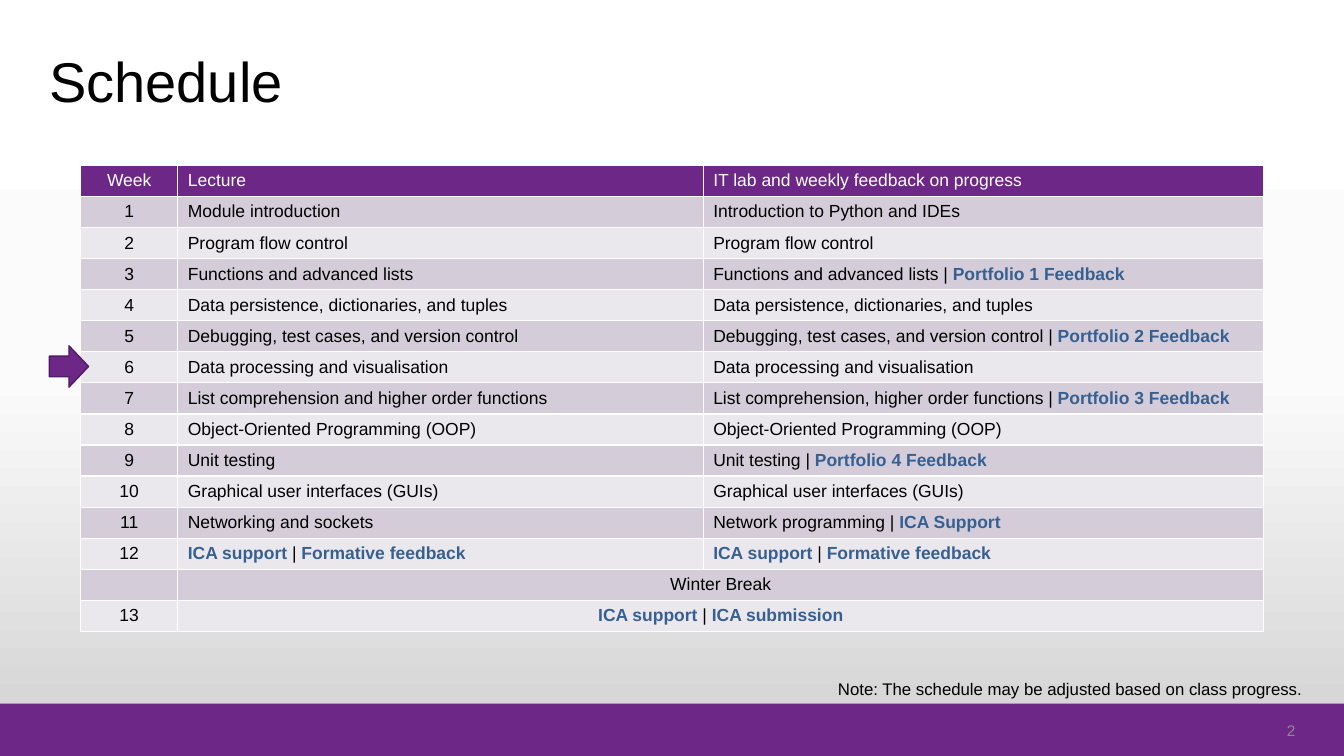
"""Build the module schedule slide, with text between asterisks in bold blue."""
from copy import deepcopy

from lxml import etree
from pptx import Presentation
from pptx.dml.color import RGBColor
from pptx.enum.shapes import MSO_SHAPE
from pptx.enum.text import MSO_ANCHOR, PP_ALIGN
from pptx.oxml.ns import qn
from pptx.util import Pt

RECT, ARROW = MSO_SHAPE.RECTANGLE, MSO_SHAPE.RIGHT_ARROW
MIDDLE = MSO_ANCHOR.MIDDLE
LEFT, CENTER, RIGHT = PP_ALIGN.LEFT, PP_ALIGN.CENTER, PP_ALIGN.RIGHT
PURPLE = RGBColor(0x6C, 0x27, 0x87)
EDGE = RGBColor(0x50, 0x1D, 0x64)
DARK = RGBColor(0xD4, 0xCD, 0xD9)
LIGHT = RGBColor(0xEB, 0xE8, 0xED)
BLUE = RGBColor(0x37, 0x60, 0x92)
GRAY = RGBColor(0x8C, 0x8C, 0x8C)
WHITE = RGBColor(0xFF, 0xFF, 0xFF)
BLACK = RGBColor(0, 0, 0)
FADE = [(0, WHITE), (0.5, RGBColor(0xFB, 0xFB, 0xFB)), (1, RGBColor(0xD1, 0xD1, 0xD1))]

ROWS = [
    ("Week", "Lecture", "IT lab and weekly feedback on progress"),
    ("1", "Module introduction", "Introduction to Python and IDEs"),
    ("2", "Program flow control", "Program flow control"),
    ("3", "Functions and advanced lists",
     "Functions and advanced lists | *Portfolio 1 Feedback*"),
    ("4", "Data persistence, dictionaries, and tuples",
     "Data persistence, dictionaries, and tuples"),
    ("5", "Debugging, test cases, and version control",
     "Debugging, test cases, and version control | *Portfolio 2 Feedback*"),
    ("6", "Data processing and visualisation", "Data processing and visualisation"),
    ("7", "List comprehension and higher order functions",
     "List comprehension, higher order functions | *Portfolio 3 Feedback*"),
    ("8", "Object-Oriented Programming (OOP)", "Object-Oriented Programming (OOP)"),
    ("9", "Unit testing", "Unit testing | *Portfolio 4 Feedback*"),
    ("10", "Graphical user interfaces (GUIs)", "Graphical user interfaces (GUIs)"),
    ("11", "Networking and sockets", "Network programming | *ICA Support*"),
    ("12", "*ICA support *|* Formative feedback*", "*ICA support *|* Formative feedback*"),
    ("", "Winter Break"),
    ("13", "*ICA support *| *ICA submission*"),
]


def write(frame, text, size, color, align=LEFT):
    para = frame.paragraphs[0]
    para.alignment = align
    font = para.font
    font.name, font.size, font.bold = "Arial", Pt(size), False
    font.color.rgb = color
    for i, part in enumerate(text.split("*")):
        if part:
            run = para.add_run()
            run.text = part
            if i % 2:
                run.font.bold = True
                run.font.color.rgb = BLUE


def border(cell):
    props = cell._tc.get_or_add_tcPr()
    for i, side in enumerate(("a:lnL", "a:lnR", "a:lnT", "a:lnB")):
        line = etree.Element(qn(side), w=str(Pt(1)))
        fill = etree.SubElement(line, qn("a:solidFill"))
        etree.SubElement(fill, qn("a:srgbClr"), val=str(WHITE))
        props.insert(i, line)


deck = Presentation()
deck.slide_width, deck.slide_height = Pt(960), Pt(540)
slide = deck.slides.add_slide(deck.slide_layouts[5])
shapes = slide.shapes

back = slide.background.fill
back.gradient()
back.gradient_angle = 270
stops = slide.element.find(".//" + qn("a:gsLst"))
stops.insert(1, deepcopy(stops[0]))
for stop, (place, color) in zip(back.gradient_stops, FADE):
    stop.position = place
    stop.color.rgb = color

band = shapes.add_shape(RECT, Pt(0), Pt(502.6), Pt(960), Pt(37.4))
band.shadow.inherit = False
band.fill.solid()
band.fill.fore_color.rgb = PURPLE
band.line.fill.background()

title = shapes.title
title.left, title.top, title.width, title.height = Pt(28), Pt(26), Pt(746), Pt(62.6)
title.text_frame.vertical_anchor = MIDDLE
write(title.text_frame, "Schedule", 40, BLACK)

number = shapes.add_textbox(Pt(892.8), Pt(513.4), Pt(39.6), Pt(17.3)).text_frame
number.word_wrap = True
number.vertical_anchor = MIDDLE
write(number, "2", 11, GRAY, RIGHT)

note = shapes.add_textbox(Pt(591.5), Pt(481), Pt(348.5), Pt(21.6)).text_frame
note.word_wrap = False
write(note, "Note: The schedule may be adjusted based on class progress.", 12, BLACK)

table = shapes.add_table(len(ROWS), 3, Pt(57.6), Pt(118.1), Pt(845), Pt(333)).table
for column, width in zip(table.columns, (69.4, 375.3, 400.3)):
    column.width = Pt(width)
for r, texts in enumerate(ROWS):
    table.rows[r].height = Pt(22.2)
    for c in range(3):
        cell = table.cell(r, c)
        cell.margin_top = cell.margin_bottom = 0
        cell.vertical_anchor = MIDDLE
        cell.fill.solid()
        cell.fill.fore_color.rgb = (DARK if r % 2 else LIGHT) if r else PURPLE
        border(cell)
    for c, text in enumerate(texts):
        align = CENTER if c == 0 or len(texts) == 2 else LEFT
        write(table.cell(r, c).text_frame, text, 12.5, BLACK if r else WHITE, align)
    if len(texts) == 2:
        table.cell(r, 1).merge(table.cell(r, 2))

arrow = shapes.add_shape(ARROW, Pt(35.3), Pt(247), Pt(28), Pt(29.5))
arrow.shadow.inherit = False
arrow.fill.solid()
arrow.fill.fore_color.rgb = PURPLE
arrow.line.color.rgb = EDGE
arrow.line.width = Pt(1)

deck.save("out.pptx")
